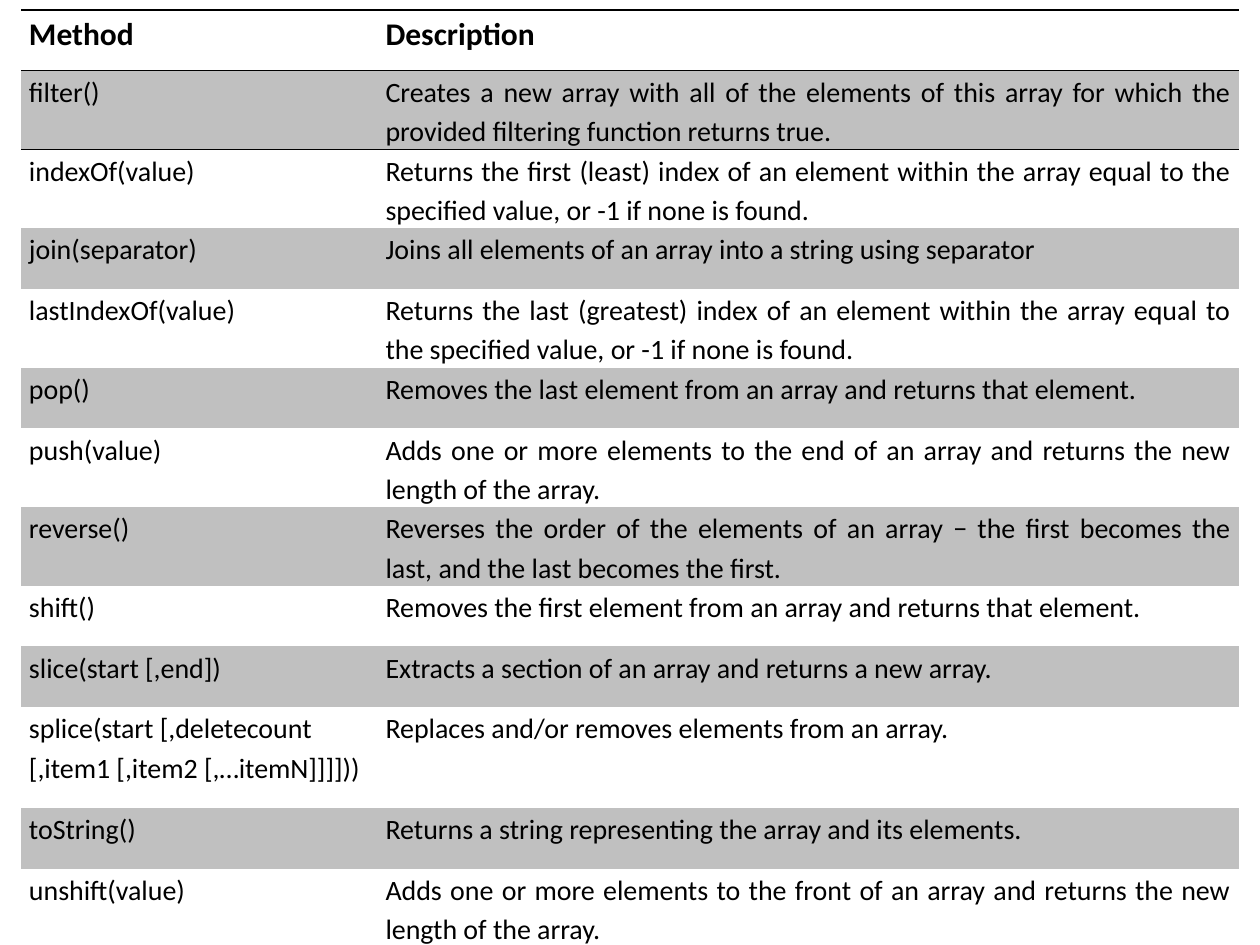
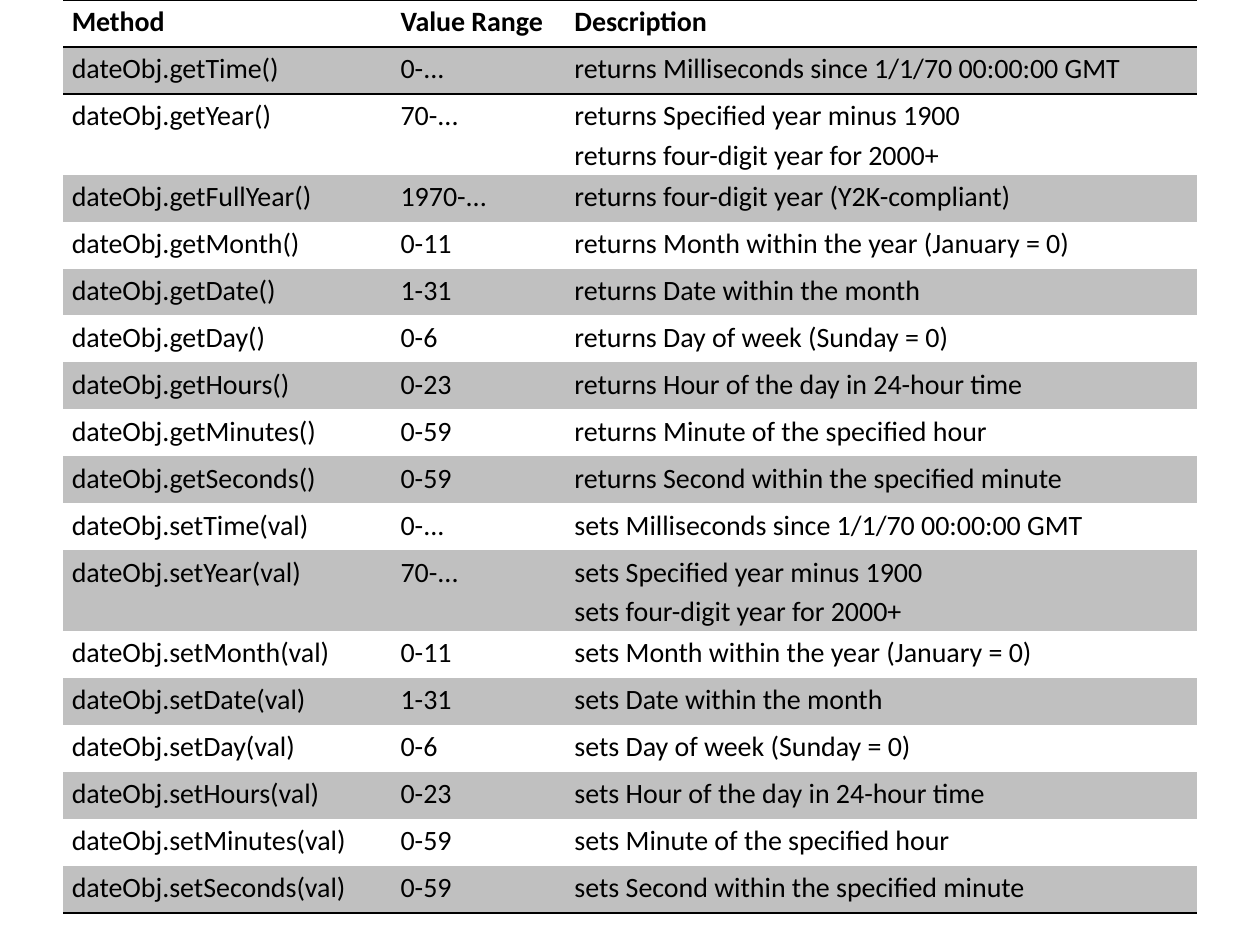
"""Builds two reference slides: array methods and date methods."""
from lxml import etree
from pptx import Presentation
from pptx.dml.color import RGBColor
from pptx.enum.text import PP_ALIGN
from pptx.oxml.ns import qn
from pptx.util import Inches, Pt

LEFT, JUSTIFY = PP_ALIGN.LEFT, PP_ALIGN.JUSTIFY
COLORS = {"text": "000000", "rule": "000000", "band": "C0C0C0"}
FONT, BODY_SIZE, LINE_SPACING, RULE_WIDTH = "Calibri", 16, 1.15, 1
PLAIN_STYLE = "{2D5ABB26-0587-4C30-8999-92F81FD0307C}"

ARRAY_ROWS = [
    ("Method", "Description"),
    ("filter()", "Creates a new array with all of the elements of this array for which "
                 "the provided filtering function returns true."),
    ("indexOf(value)", "Returns the first (least) index of an element within the array "
                       "equal to the specified value, or -1 if none is found."),
    ("join(separator)", "Joins all elements of an array into a string using separator"),
    ("lastIndexOf(value)", "Returns the last (greatest) index of an element within the array "
                           "equal to the specified value, or -1 if none is found."),
    ("pop()", "Removes the last element from an array and returns that element."),
    ("push(value)", "Adds one or more elements to the end of an array and returns "
                    "the new length of the array."),
    ("reverse()", "Reverses the order of the elements of an array − the first becomes "
                  "the last, and the last becomes the first."),
    ("shift()", "Removes the first element from an array and returns that element."),
    ("slice(start [,end])", "Extracts a section of an array and returns a new array."),
    ("splice(start [,deletecount [,item1 [,item2 [,…itemN]]]]))",
     "Replaces and/or removes elements from an array."),
    ("toString()", "Returns a string representing the array and its elements."),
    ("unshift(value)", "Adds one or more elements to the front of an array and returns "
                       "the new length of the array."),
]

DATE_HEADER = ("Method", "Value Range", "Description")
DATE_FIELDS = [
    ("Time", "0-...", ["Milliseconds since 1/1/70 00:00:00 GMT"]),
    ("Year", "70-...", ["Specified year minus 1900", "four-digit year for 2000+"]),
    ("FullYear", "1970-...", ["four-digit year (Y2K-compliant)"]),
    ("Month", "0-11", ["Month within the year (January = 0)"]),
    ("Date", "1-31", ["Date within the month"]),
    ("Day", "0-6", ["Day of week (Sunday = 0)"]),
    ("Hours", "0-23", ["Hour of the day in 24-hour time"]),
    ("Minutes", "0-59", ["Minute of the specified hour"]),
    ("Seconds", "0-59", ["Second within the specified minute"]),
]
ACCESSORS = [("get", "", "returns", ()), ("set", "val", "sets", ("FullYear",))]
DATE_ROWS = [DATE_HEADER] + [
    (f"dateObj.{prefix}{field}({arg})", values, "\n".join(f"{verb} {d}" for d in details))
    for prefix, arg, verb, skipped in ACCESSORS
    for field, values, details in DATE_FIELDS if field not in skipped
]

TABLES = [
    {"rows": ARRAY_ROWS, "left": 0.17, "top": 0.08, "height": 7.41, "cols": [2.83, 6.83],
     "tall": {**dict.fromkeys((1, 2, 4, 6, 7, 12), 0.62), 10: 0.8},
     "header_size": 18, "inset": 0.06, "ragged": {(10, 0)}},
    {"rows": DATE_ROWS, "left": 0.5, "top": 0, "height": 7.25, "cols": [2.61, 1.38, 5.01],
     "tall": {2: 0.64, 11: 0.64},
     "header_size": 16, "inset": 0.07, "ragged": set()},
]


def add_rule(cell, side):
    """Draw a thin line along one side of a cell."""
    ln = etree.SubElement(cell._tc.get_or_add_tcPr(), qn(f"a:{side}"), w=str(Pt(RULE_WIDTH)))
    fill = etree.SubElement(ln, qn("a:solidFill"))
    etree.SubElement(fill, qn("a:srgbClr"), val=COLORS["rule"])


def format_cell(cell, text, size, bold, align, inset):
    """Write and style the text of a cell."""
    cell.margin_left = cell.margin_right = Inches(inset)
    cell.margin_top = cell.margin_bottom = 0
    cell.text_frame.text = text
    for p in cell.text_frame.paragraphs:
        p.alignment, p.line_spacing = align, LINE_SPACING
        for r in p.runs:
            r.font.name, r.font.size, r.font.bold = FONT, Pt(size), bold
            r.font.color.rgb = RGBColor.from_string(COLORS["text"])


def add_method_table(slide, spec):
    """Add a banded table with rules around its header and below its last row."""
    rows, cols, tall = spec["rows"], spec["cols"], spec["tall"]
    single = (spec["height"] - sum(tall.values())) / (len(rows) - len(tall))
    frame = slide.shapes.add_table(len(rows), len(cols), Inches(spec["left"]),
                                   Inches(spec["top"]), Inches(sum(cols)),
                                   Inches(spec["height"]))
    table = frame.table
    table.horz_banding = False
    table._tbl.tblPr.find(qn("a:tableStyleId")).text = PLAIN_STYLE
    for column, width in zip(table.columns, cols):
        column.width = Inches(width)
    for i, texts in enumerate(rows):
        table.rows[i].height = Inches(tall.get(i, single))
        header = i == 0
        size = spec["header_size"] if header else BODY_SIZE
        for j, text in enumerate(texts):
            cell = table.cell(i, j)
            align = LEFT if (i, j) in spec["ragged"] else JUSTIFY
            format_cell(cell, text, size, header, align, spec["inset"])
            if i <= 1:
                add_rule(cell, "lnT")
            if i in (0, len(rows) - 1):
                add_rule(cell, "lnB")
            if i % 2:
                cell.fill.solid()
                cell.fill.fore_color.rgb = RGBColor.from_string(COLORS["band"])
            else:
                cell.fill.background()


def main():
    """Build and save the presentation."""
    prs = Presentation()
    prs.slide_width, prs.slide_height = Inches(10), Inches(7.5)
    for spec in TABLES:
        add_method_table(prs.slides.add_slide(prs.slide_layouts[6]), spec)
    prs.save("out.pptx")


if __name__ == "__main__":
    main()
